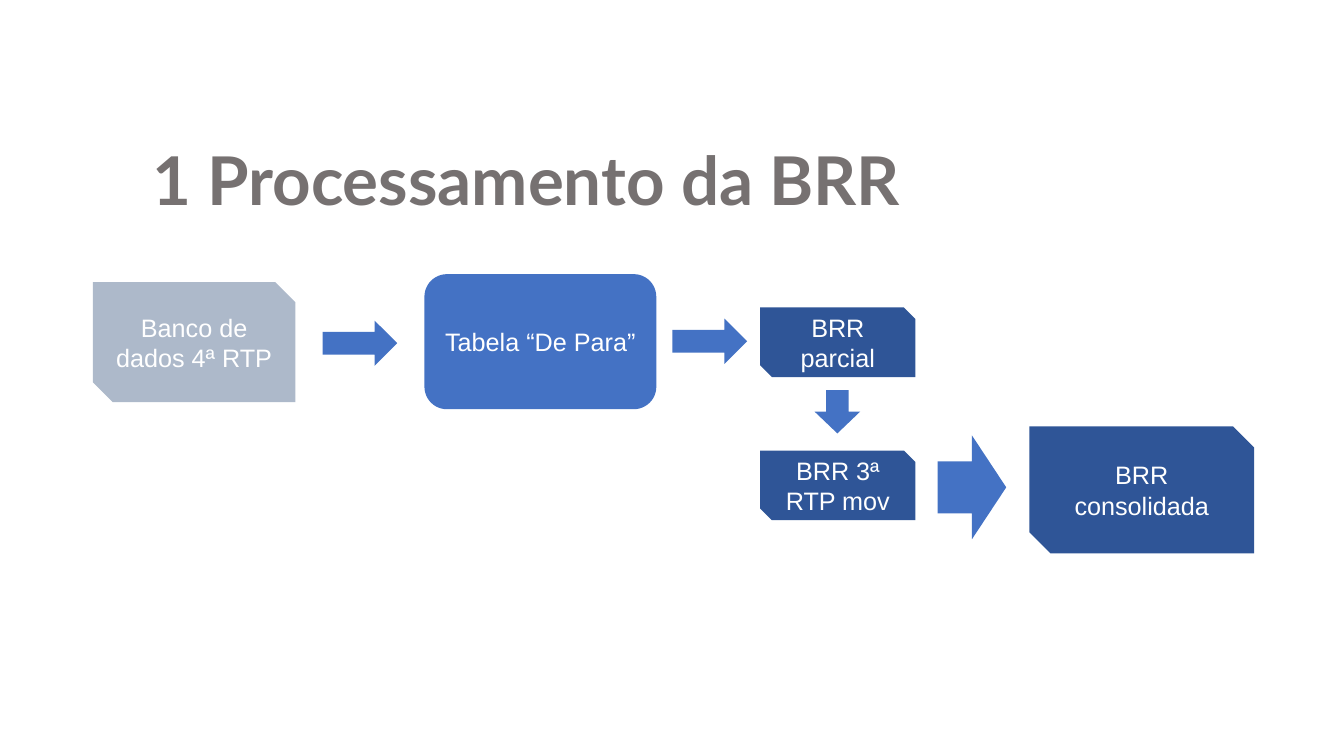
from pptx import Presentation
from pptx import util as u
from pptx.dml.color import RGBColor
from pptx.enum import shapes, text

WHITE = RGBColor(0xFF, 0xFF, 0xFF)
GRAY = RGBColor(0x76, 0x71, 0x71)
BLUE = RGBColor(0x44, 0x72, 0xC4)
NAVY = RGBColor(0x2F, 0x55, 0x97)
PALE = RGBColor(0xAD, 0xB9, 0xCA)

ROUNDED = shapes.MSO_SHAPE.ROUNDED_RECTANGLE
SNIPPED = shapes.MSO_SHAPE.SNIP_2_DIAG_RECTANGLE
ARROW = shapes.MSO_SHAPE.RIGHT_ARROW


class FlowSlide:
    title_font = "Lato"
    body_font = "Arial"

    def __init__(self, prs):
        self.s = prs.slides.add_slide(prs.slide_layouts[6])

    def add_run(self, p, content, font, size, color, bold=False):
        r = p.add_run()
        r.text = content
        r.font.name = font
        r.font.size = u.Pt(size)
        r.font.bold = bold
        r.font.color.rgb = color

    def title(self, content, *box):
        tf = self.s.shapes.add_textbox(*map(u.Inches, box)).text_frame
        tf.word_wrap = True
        tf.auto_size = text.MSO_AUTO_SIZE.SHAPE_TO_FIT_TEXT
        p = tf.paragraphs[0]
        p.line_spacing = 1.5
        self.add_run(p, content, self.title_font, 48, GRAY, bold=True)

    def shape(self, kind, color, *box):
        sp = self.s.shapes.add_shape(kind, *map(u.Inches, box))
        sp.shadow.inherit = False
        sp.fill.solid()
        sp.fill.fore_color.rgb = color
        sp.line.fill.background()
        return sp

    def step(self, content, kind, color, *box):
        tf = self.shape(kind, color, *box).text_frame
        tf.word_wrap = True
        tf.vertical_anchor = text.MSO_ANCHOR.MIDDLE
        p = tf.paragraphs[0]
        p.alignment = text.PP_ALIGN.CENTER
        self.add_run(p, content, self.body_font, 18, WHITE)

    def arrow(self, *box, rotation=0):
        self.shape(ARROW, BLUE, *box).rotation = rotation


def main():
    prs = Presentation()
    prs.slide_width = u.Inches(13.33)
    prs.slide_height = u.Inches(7.5)

    slide = FlowSlide(prs)
    slide.title("1 Processamento da BRR", 1.41, 0.92, 10.04, 1.19)

    slide.step("Tabela “De Para”", ROUNDED, BLUE, 4.21, 2.72, 2.3, 1.34)
    slide.step("Banco de dados 4ª RTP", SNIPPED, PALE, 0.92, 2.8, 2.01, 1.19)
    slide.step("BRR parcial", SNIPPED, NAVY, 7.54, 3.05, 1.54, 0.69)
    slide.step("BRR consolidada", SNIPPED, NAVY, 10.21, 4.23, 2.23, 1.26)
    slide.step("BRR 3ª RTP mov", SNIPPED, NAVY, 7.54, 4.47, 1.54, 0.69)

    slide.arrow(3.2, 3.18, 0.74, 0.45)
    slide.arrow(8.09, 3.86, 0.43, 0.45, rotation=90)
    slide.arrow(9.3, 4.32, 0.68, 1.03)
    slide.arrow(6.67, 3.16, 0.74, 0.45)

    prs.save("out.pptx")


if __name__ == "__main__":
    main()
